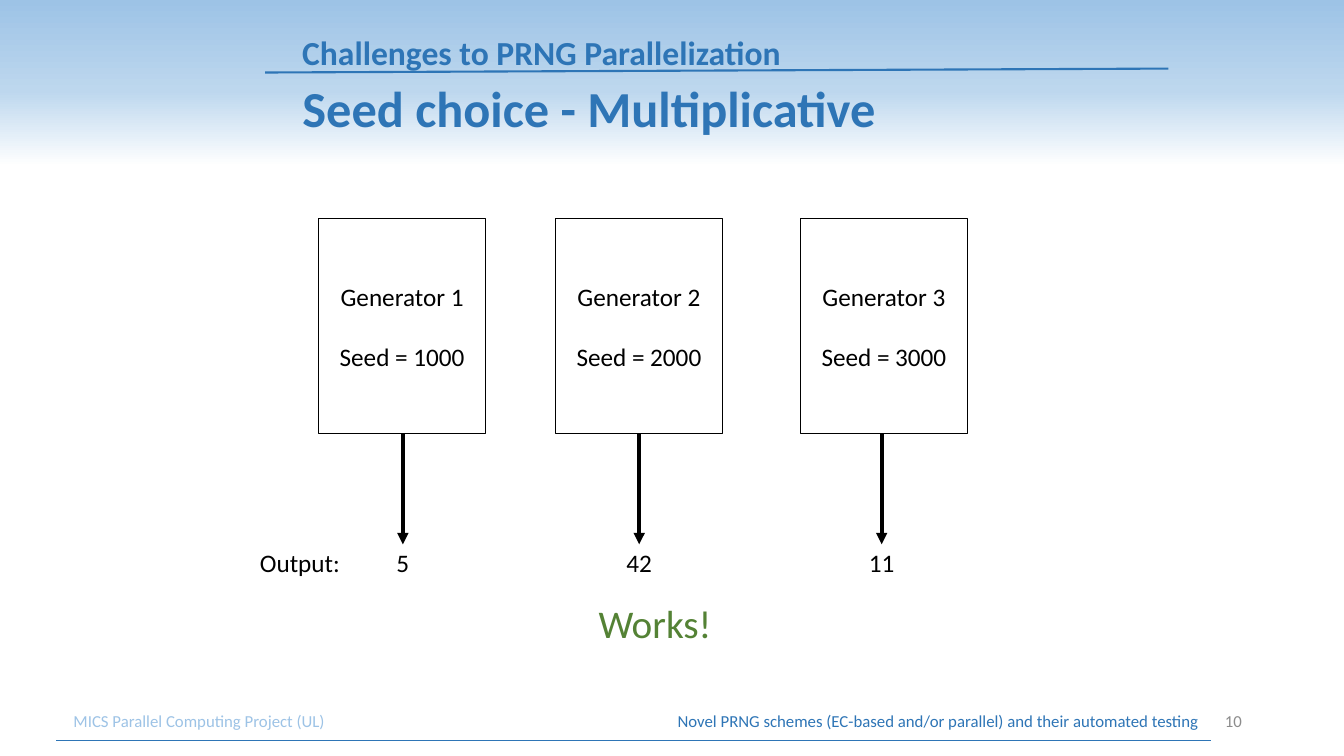
import pptx
import pptx.util
import pptx.dml.color
import pptx.enum.shapes
import pptx.enum.text
import pptx.oxml
import pptx.oxml.ns
from pptx.util import Pt

RGBColor = pptx.dml.color.RGBColor
ALIGN = pptx.enum.text.PP_ALIGN
ANCHOR = pptx.enum.text.MSO_ANCHOR
qn = pptx.oxml.ns.qn

BLUE = RGBColor(0x2E, 0x75, 0xB6)
PALE_BLUE = RGBColor(0x9D, 0xC3, 0xE6)
LIGHT_BLUE = RGBColor(0xBD, 0xD7, 0xEE)
GREEN = RGBColor(0x54, 0x82, 0x35)
GREY = RGBColor(0x8C, 0x8C, 0x8C)
BLACK = RGBColor(0, 0, 0)
WHITE = RGBColor(0xFF, 0xFF, 0xFF)

FONT = "Calibri"
BOX_TOP, BOX_WIDTH, BOX_HEIGHT = 156.24, 119.5, 153.4

# Name, seed, output, left edge of the box, centre of the arrow
GENERATORS = [
    ("Generator 1", "Seed = 1000", "5", 227.5, 287.8),
    ("Generator 2", "Seed = 2000", "42", 396.7, 456.6),
    ("Generator 3", "Seed = 3000", "11", 571.7, 629.8),
]


def add_element(parent, tag, **attributes):
    element = pptx.oxml.parse_xml(f'<{tag} {pptx.oxml.ns.nsdecls("a")}/>')
    for name, value in attributes.items():
        element.set(name, value)
    parent.append(element)
    return element


def set_background(page, stops):
    fill = page.background.fill
    fill.gradient()
    fill.gradient_angle = 270
    stop_list = next(page.element.iter(qn("a:gsLst")))
    for stop in list(stop_list):
        stop_list.remove(stop)
    for percent, color in stops:
        stop = add_element(stop_list, "a:gs", pos=str(percent * 1000))
        add_element(stop, "a:srgbClr", val=str(color))


def write(box, *lines, size=18, color=BLACK, bold=False, align=ALIGN.LEFT,
          anchor=ANCHOR.TOP, wrap=True, line_spacing=None, gap=0):
    frame = box.text_frame
    frame.auto_size = pptx.enum.text.MSO_AUTO_SIZE.NONE
    frame.word_wrap = wrap
    frame.vertical_anchor = anchor
    for index, line in enumerate(lines):
        para = frame.add_paragraph() if index else frame.paragraphs[0]
        para.alignment = align
        para.space_before = Pt(gap if index else 0)
        if line_spacing:
            para.line_spacing = line_spacing
        span = para.add_run()
        span.text = line
        span.font.name = FONT
        span.font.size = Pt(size)
        span.font.bold = bold
        span.font.color.rgb = color


def add_text(page, text, left, top, width, height, **text_format):
    box = page.shapes.add_textbox(Pt(left), Pt(top), Pt(width), Pt(height))
    write(box, text, **text_format)


def add_line(page, start, end, color, width, arrow=False):
    line = page.shapes.add_connector(
        pptx.enum.shapes.MSO_CONNECTOR.STRAIGHT,
        *(Pt(length) for length in start + end))
    line.line.color.rgb = color
    line.line.width = Pt(width)
    if arrow:
        add_element(line.line._get_or_add_ln(), "a:tailEnd", type="triangle")
    add_element(line._element.spPr, "a:effectLst")


def add_generator(page, name, seed, output, left, axis):
    box = page.shapes.add_shape(
        pptx.enum.shapes.MSO_SHAPE.RECTANGLE,
        Pt(left), Pt(BOX_TOP), Pt(BOX_WIDTH), Pt(BOX_HEIGHT))
    box.shadow.inherit = False
    box.fill.solid()
    box.fill.fore_color.rgb = WHITE
    box.line.color.rgb = BLACK
    box.line.width = Pt(1)
    write(box, name, seed, align=ALIGN.CENTER, anchor=ANCHOR.MIDDLE, gap=21)
    add_line(page, (axis, BOX_TOP + BOX_HEIGHT), (axis, 388.8), BLACK, 2.75,
             arrow=True)
    add_text(page, output, axis - 33, 387.4, 66, 29, align=ALIGN.CENTER)


def add_header(page):
    add_line(page, (189.4, 51.8), (834.5, 49), BLUE, 1.5)
    heading = dict(color=BLUE, bold=True, anchor=ANCHOR.BOTTOM,
                   line_spacing=0.9)
    title = page.shapes.title
    title.left, title.top = Pt(208.8), Pt(50.4)
    title.width, title.height = Pt(602.6), Pt(51.8)
    write(title, "Seed choice - Multiplicative", size=36, **heading)
    add_text(page, "Challenges to PRNG Parallelization",
             208.8, 3.6, 602.6, 51.8, size=24, **heading)


def add_footer(page):
    small = dict(size=12, anchor=ANCHOR.MIDDLE)
    add_text(page, "MICS Parallel Computing Project (UL)",
             45.4, 500.4, 250, 28.8, color=PALE_BLUE, **small)
    add_text(page, "Novel PRNG schemes (EC-based and/or parallel) "
             "and their automated testing",
             433.6, 500.4, 430, 28.8, color=BLUE, align=ALIGN.RIGHT, **small)
    add_text(page, "10", 854.2, 500.4, 40, 28.8, color=GREY,
             align=ALIGN.RIGHT, **small)
    add_line(page, (40.3, 528.5), (864.7, 528.5), BLUE, 0.5)


def main():
    deck = pptx.Presentation()
    deck.slide_width, deck.slide_height = Pt(960), Pt(540)
    page = deck.slides.add_slide(deck.slide_layouts.get_by_name("Title Only"))
    set_background(page, [(0, PALE_BLUE), (12, LIGHT_BLUE), (22, WHITE)])

    add_header(page)

    # Generators with their outputs
    for generator in GENERATORS:
        add_generator(page, *generator)
    add_text(page, "Output:", 178.6, 387.4, 72, 29, wrap=False)

    # Verdict
    add_text(page, "Works!", 420.5, 424.8, 96.5, 41, size=28, color=GREEN,
             wrap=False)

    add_footer(page)
    deck.save("out.pptx")


if __name__ == "__main__":
    main()
